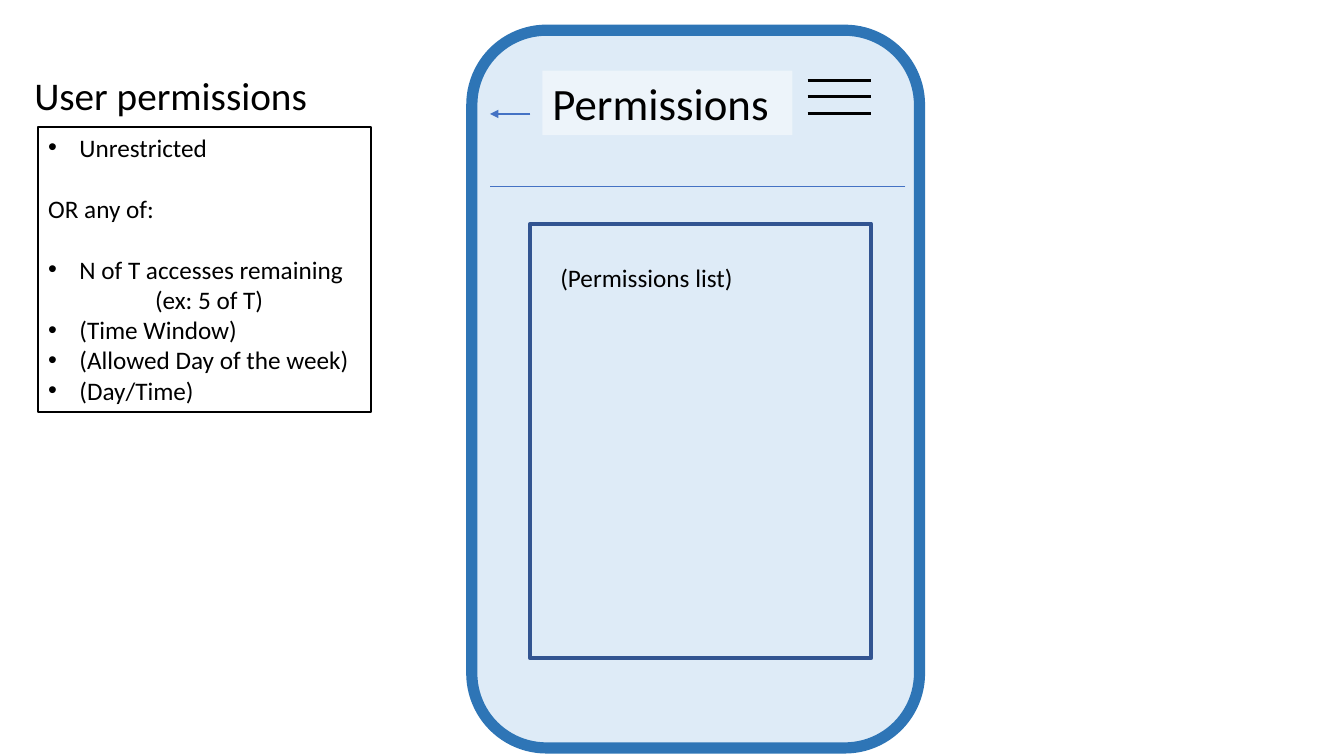
from dataclasses import dataclass

import pptx
import pptx.util
from lxml import etree
from pptx.dml.color import RGBColor
from pptx.enum.shapes import MSO_CONNECTOR, MSO_SHAPE
from pptx.enum.text import MSO_ANCHOR, MSO_AUTO_SIZE, PP_ALIGN
from pptx.oxml.ns import qn

Inches = pptx.util.Inches
Pt = pptx.util.Pt


@dataclass(frozen=True)
class Theme:
    font: str = "Calibri"
    text: str = "000000"
    white: str = "FFFFFF"
    screen: str = "DEEBF7"
    phone_edge: str = "2E75B6"
    accent: str = "4472C4"
    panel_edge: str = "325491"
    header_size: int = 32
    title_size: int = 28
    body_size: int = 18
    line_height: int = 22


THEME = Theme()
LIST_INDENT = 0.31
SCREEN_LEFT, SCREEN_RIGHT = 4.86, 8.98
MENU_LEFT, MENU_RIGHT = 8.01, 8.64

# Text, then its paragraph format: bullet, left margin, space before in points
PERMISSION_RULES = [
    ("Unrestricted", {"bullet": True}),
    ("OR any of:", {"before": THEME.line_height}),
    ("N of T accesses remaining", {"bullet": True, "before": THEME.line_height}),
    ("(ex: 5 of T)", {"margin": 1.06}),
    ("(Time Window)", {"bullet": True}),
    ("(Allowed Day of the week)", {"bullet": True}),
    ("(Day/Time)", {"bullet": True}),
]


def set_opacity(color_format, percent):
    color = color_format._xFill.find(qn("a:srgbClr"))
    etree.SubElement(color, qn("a:alpha"), val=str(percent * 1000))


def set_line(line, color, width):
    line.color.rgb = RGBColor.from_string(color)
    line.width = Pt(width)


def add_box(slide, bounds, kind=MSO_SHAPE.RECTANGLE, fill=None, opacity=None, edge=None):
    """Draw a preset shape; edge is a (color, width in points) pair."""
    shape = slide.shapes.add_shape(kind, *map(Inches, bounds))
    shape.shadow.inherit = False
    if fill:
        shape.fill.solid()
        shape.fill.fore_color.rgb = RGBColor.from_string(fill)
        if opacity:
            set_opacity(shape.fill._xPr.find(qn("a:solidFill")).getparent() and shape.fill.fore_color, opacity)
    else:
        shape.fill.background()
    if edge:
        set_line(shape.line, *edge)
    else:
        shape.line.fill.background()
    return shape


def add_line(slide, start, end, color, width, arrow=False):
    connector = slide.shapes.add_connector(
        MSO_CONNECTOR.STRAIGHT, *map(Inches, (*start, *end)))
    set_line(connector.line, color, width)
    if arrow:
        etree.SubElement(connector.line._get_or_add_ln(), qn("a:tailEnd"), type="triangle")
    etree.SubElement(connector._element.spPr, qn("a:effectLst"))


def format_paragraph(paragraph, bullet=False, margin=0, before=0):
    paragraph.alignment = PP_ALIGN.LEFT
    paragraph.space_before = Pt(before)
    properties = paragraph._p.get_or_add_pPr()
    indent = LIST_INDENT if bullet else 0
    properties.set("marL", str(Inches(margin + indent)))
    properties.set("indent", str(Inches(-indent)))
    if bullet:
        etree.SubElement(properties, qn("a:buFont"), typeface="Arial")
        etree.SubElement(properties, qn("a:buChar"), char="•")


def write_text(shape, rows, size):
    """Fill a shape with (text, paragraph format) rows, left and top aligned."""
    frame = shape.text_frame
    frame_format = {
        "word_wrap": True,
        "auto_size": MSO_AUTO_SIZE.NONE,
        "vertical_anchor": MSO_ANCHOR.TOP,
    }
    for name, value in frame_format.items():
        setattr(frame, name, value)
    for index, (text, paragraph_format) in enumerate(rows):
        paragraph = frame.add_paragraph() if index else frame.paragraphs[0]
        format_paragraph(paragraph, **paragraph_format)
        run = paragraph.add_run()
        run.text = text
        font_format = {"name": THEME.font, "size": Pt(size)}
        for name, value in font_format.items():
            setattr(run.font, name, value)
        run.font.color.rgb = RGBColor.from_string(THEME.text)


def place_title(slide, text, bounds):
    title = slide.shapes.title
    for name, value in zip(("left", "top", "width", "height"), bounds):
        setattr(title, name, Inches(value))
    write_text(title, [(text, {})], THEME.title_size)


def add_phone(slide):
    add_box(slide, (4.68, 0.3, 4.44, 7.12), MSO_SHAPE.ROUNDED_RECTANGLE,
            fill=THEME.screen, edge=(THEME.phone_edge, 8))
    add_line(slide, (SCREEN_RIGHT, 1.85), (SCREEN_LEFT, 1.85), THEME.accent, 1.25)
    for y in (0.8, 0.96, 1.13):
        add_line(slide, (MENU_LEFT, y), (MENU_RIGHT, y), THEME.text, 2)
    add_line(slide, (5.26, 1.13), (SCREEN_LEFT, 1.13), THEME.accent, 1.25, arrow=True)

    header = add_box(slide, (5.38, 0.7, 2.48, 0.64), fill=THEME.white, opacity=46)
    write_text(header, [("Permissions", {})], THEME.header_size)

    add_box(slide, (5.26, 2.22, 3.38, 4.31), edge=(THEME.panel_edge, 3))
    label = slide.shapes.add_textbox(*map(Inches, (5.46, 2.55, 2.96, 0.4)))
    write_text(label, [("(Permissions list)", {})], THEME.body_size)


def main():
    presentation = pptx.Presentation()
    presentation.slide_width = Inches(13.33)
    presentation.slide_height = Inches(7.5)
    title_only = presentation.slide_layouts.get_by_name("Title Only")
    slide = presentation.slides.add_slide(title_only)

    place_title(slide, "User permissions", (0.24, 0.66, 2.92, 0.57))
    add_phone(slide)
    rules = add_box(slide, (0.38, 1.26, 3.3, 2.83), edge=(THEME.text, 1.25))
    write_text(rules, PERMISSION_RULES, THEME.body_size)

    presentation.save("out.pptx")


if __name__ == "__main__":
    main()
